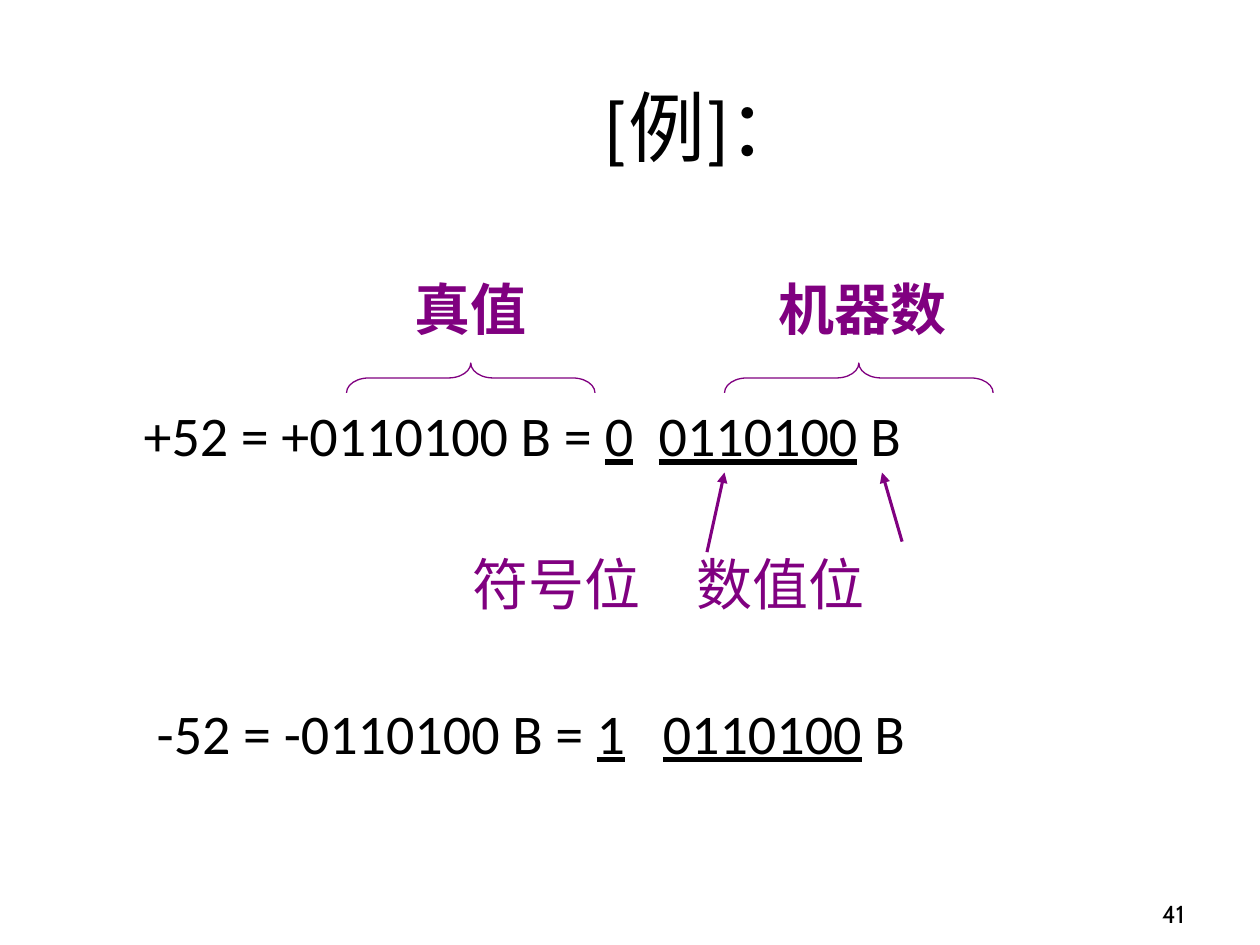
"""Build the slide showing true values and machine numbers of +52 and -52."""
from lxml import etree
from pptx import Presentation
from pptx.dml.color import RGBColor
from pptx.enum import shapes, text
from pptx.oxml.ns import qn
from pptx.util import Pt

BLACK = RGBColor(0x00, 0x00, 0x00)
PURPLE = RGBColor(0x80, 0x00, 0x80)
SPACE = 7.2

BODY = {"name": "Calibri", "size": Pt(32)}
LABEL = {"name": "Arial", "size": Pt(32), "bold": True}
TITLE = {"name": "Calibri", "size": Pt(44)}
NUMBER = {"name": "Cabin", "size": Pt(14)}

BOTTOM = text.MSO_ANCHOR.BOTTOM
TOP = text.MSO_ANCHOR.TOP
LEFT, CENTER, RIGHT = text.PP_ALIGN.LEFT, text.PP_ALIGN.CENTER, text.PP_ALIGN.RIGHT


def equation(start, sign, gap):
    return [(start, False, 0), (sign, True, 0), (" ", False, gap),
            ("0110100", True, 0), (" B", False, 0)]


def plain(words):
    return [(words, False, 0)]


EQUATIONS = [
    (21, BLACK, equation("+52 = +0110100 B = ", "0", SPACE)),
    (209, PURPLE, plain("符号位\u3000数值位".replace("\u3000", "　"))),
    (28.5, BLACK, equation("-52 = -0110100 B = ", "1", 2 * SPACE)),
]
BOXES = [
    ((534, 498, 150, 36), NUMBER, BOTTOM, RIGHT, 1, [(0, BLACK, plain("41"))]),
    ((102, 48, 602, 53.5), TITLE, BOTTOM, CENTER, 1, [(0, BLACK, plain("[例]："))]),
    ((54, 229.5, 612, 267), BODY, TOP, LEFT, 0.9, EQUATIONS),
    ((215.5, 157.5, 103, 42), LABEL, TOP, LEFT, 0.9, [(14.5, PURPLE, plain("真值"))]),
    ((438, 157.5, 113, 42), LABEL, TOP, LEFT, 0.9, [(0, PURPLE, plain("机器数"))]),
]
PARAGRAPH_GAP = 50.5

ARROWS = [((404, 315.5), (414, 270)), ((515.5, 309.5), (504, 270))]
BRACES = [(198, 142), (414, 153.5)]
BRACE_TOP, BRACE_HEIGHT = 207.5, 17


def add_text(s, box, font, anchor, align, spacing, paragraphs):
    tf = s.shapes.add_textbox(*map(Pt, box)).text_frame
    tf.word_wrap = True
    tf.vertical_anchor = anchor
    for i, (indent, color, runs) in enumerate(paragraphs):
        p = tf.add_paragraph() if i else tf.paragraphs[0]
        p.alignment = align
        p.line_spacing = spacing
        p.space_before = Pt(PARAGRAPH_GAP if i else 0)
        p._p.get_or_add_pPr().set("marL", str(Pt(indent)))
        for words, underline, gap in runs:
            r = p.add_run()
            r.text = words
            for key, value in {**font, "underline": underline}.items():
                setattr(r.font, key, value)
            r.font.color.rgb = color
            if gap:
                r._r.get_or_add_rPr().set("spc", str(round(gap * 100)))


def add_arrow(s, start, end):
    c = s.shapes.add_connector(shapes.MSO_CONNECTOR.STRAIGHT, *map(Pt, start + end))
    c.line.color.rgb = PURPLE
    c.line.width = Pt(1.75)
    etree.SubElement(c.line._get_or_add_ln(), qn("a:tailEnd"), type="triangle")
    etree.SubElement(c._element.spPr, qn("a:effectLst"))


def add_brace(s, left, width):
    x = left + (width - BRACE_HEIGHT) / 2
    y = BRACE_TOP + (BRACE_HEIGHT - width) / 2
    sp = s.shapes.add_shape(shapes.MSO_SHAPE.LEFT_BRACE,
                            *map(Pt, (x, y, BRACE_HEIGHT, width)))
    sp.rotation = 90
    sp.adjustments[0] = 0.75
    sp.shadow.inherit = False
    sp.fill.background()
    sp.line.color.rgb = PURPLE
    sp.line.width = Pt(0.75)


def main():
    prs = Presentation()
    prs.slide_width, prs.slide_height = Pt(720), Pt(540)
    s = prs.slides.add_slide(prs.slide_layouts[6])
    for box in BOXES:
        add_text(s, *box)
    for arrow in ARROWS:
        add_arrow(s, *arrow)
    for brace in BRACES:
        add_brace(s, *brace)
    prs.save("out.pptx")


if __name__ == "__main__":
    main()
